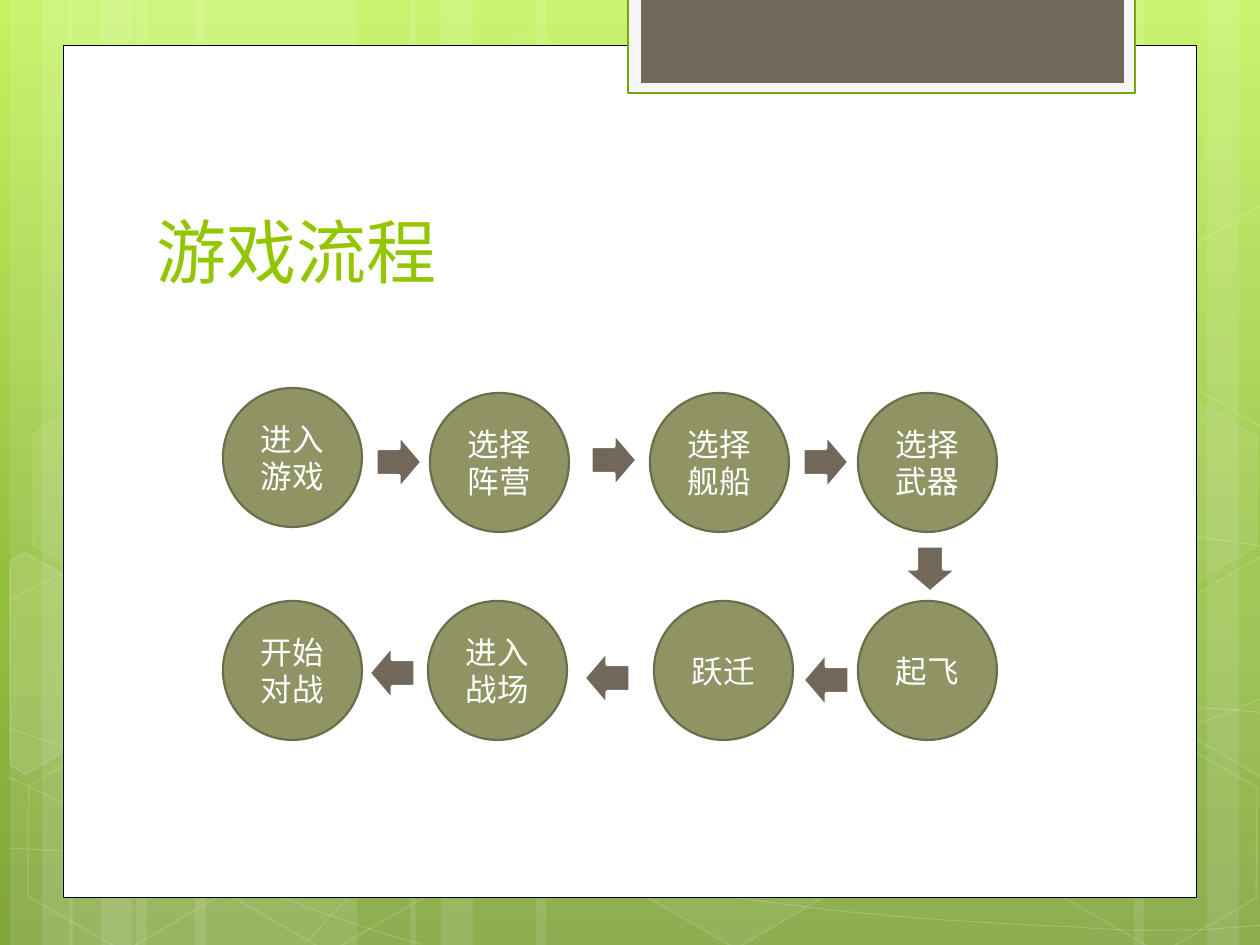
from copy import deepcopy
from math import cos, radians, sin

from pptx import Presentation
from pptx.dml.color import RGBColor
from pptx.enum.shapes import MSO_SHAPE as SHAPE
from pptx.enum.text import MSO_ANCHOR as ANCHOR, PP_ALIGN as ALIGN
from pptx.oxml.ns import qn
from pptx.util import Emu, Pt
from lxml.etree import SubElement

PX = 914400 / 126
W, H = 1260, 945
FONT = "Quicksand"

WHITE = RGBColor(0xFF, 0xFF, 0xFF)
BLACK = RGBColor(0x00, 0x00, 0x00)
PALE = RGBColor(0xF5, 0xF5, 0xF5)
GREEN = RGBColor(0x74, 0xA5, 0x10)
LIME = RGBColor(0x94, 0xC6, 0x00)
BROWN = RGBColor(0x71, 0x68, 0x5A)
OLIVE = RGBColor(0x90, 0x94, 0x65)
OLIVE_DARK = RGBColor(0x6B, 0x6D, 0x4B)
SKY = [(0, RGBColor(0xC3, 0xF3, 0x5F)), (0.62, RGBColor(0x93, 0xBF, 0x3F)),
       (1, RGBColor(0x81, 0xA5, 0x3E))]

# Content: game steps as (left, top, text), arrows as (left, top, rotation)
TITLE = "游戏流程"
DIAMETER = 139
STEPS = [
    (223, 388, "进入游戏"), (430, 393, "选择阵营"), (650, 393, "选择舰船"), (858, 393, "选择武器"),
    (858, 601, "起飞"), (654, 601, "跃迁"), (428, 601, "进入战场"), (223, 601, "开始对战"),
]
ARROW_W, ARROW_H = 46, 54
ARROWS = [
    (376, 435, 0), (907, 542, 90), (803, 435, 0), (591, 433, 0),
    (584, 651, 180), (803, 653, 180), (369, 646, 180),
]

# Backdrop: stripes as (left, width)
STRIPES = [
    (136, 221), (10, 63), (42, 105), (195, 221), (69, 63), (101, 105),
    (924, 220), (1207, 63), (1134, 105), (536, 388), (410, 63), (441, 105),
]
# Each curve is a start point, then cubic segments of three points
CURVES = [
    [(9, 848), (77, 852), (145, 856), (239, 854), (334, 853), (451, 851), (577, 838),
     (703, 825), (882, 801), (998, 777), (1113, 753), (1231, 716), (1269, 694)],
    [(9, 601), (45, 582), (82, 562), (152, 543), (224, 524), (326, 496), (437, 488),
     (549, 479), (685, 478), (824, 488), (963, 498), (1193, 537), (1269, 547)],
    [(8, 777), (160, 847), (311, 916), (421, 944)],
    [(9, 728), (48, 742), (88, 756), (161, 776), (234, 795), (344, 827), (450, 848),
     (554, 869), (687, 892), (791, 905), (896, 919), (1008, 924), (1075, 927),
     (1140, 932), (1158, 930), (1191, 930), (1223, 929), (1246, 926), (1269, 925)],
    [(305, 944), (328, 919), (350, 893), (381, 871), (411, 848), (454, 823), (489, 805),
     (524, 787), (546, 780), (592, 767), (638, 755), (722, 737), (766, 728),
     (811, 719), (818, 719), (857, 717), (896, 713), (958, 709), (1000, 708),
     (1045, 707), (1116, 708), (1116, 708), (1116, 708), (1201, 708), (1201, 708),
     (1223, 709), (1245, 711), (1256, 712), (1268, 713), (1264, 712), (1268, 713)],
]
# Hexagons as (left, top, fill opacity, line opacity); 0 means no fill
TILT = 30
HEX_W, HEX_H = 220, 192
HEXAGONS = [
    (421, 45, 4, 8), (626, 742, 6, 12), (14, 745, 0, 12), (18, 393, 7, 8), (219, 746, 0, 12),
    (949, 571, 10, 12), (1051, 747, 0, 12), (1051, 396, 7, 8),
]
# Hexagons cut by the slide edge as (pivot, points, fill opacity)
CUT_HEXAGONS = [
    ((45, 674), [(10, 561), (24, 552), (121, 607), (120, 718), (25, 774), (10, 765)], 10),
    ((1241, 655),
     [(1167, 611), (1261, 556), (1271, 562), (1271, 772), (1263, 777), (1167, 722)], 4),
    ((1241, 304),
     [(1167, 261), (1261, 205), (1273, 212), (1271, 422), (1263, 427), (1167, 372)], 0),
]


def px(v):
    return Emu(round(v * PX))


def set_opacity(fill_parent, percent):
    for clr in fill_parent.iter(qn("a:srgbClr")):
        SubElement(clr, qn("a:alpha")).set("val", str(percent * 1000))


def paint(sp, fill=None, line=None, width=1, fill_alpha=100, line_alpha=100):
    sp.shadow.inherit = False
    if fill is None:
        sp.fill.background()
    else:
        sp.fill.solid()
        sp.fill.fore_color.rgb = fill
        if fill_alpha < 100:
            set_opacity(sp._element.spPr.find(qn("a:solidFill")), fill_alpha)
    if line is None:
        sp.line.fill.background()
    else:
        sp.line.color.rgb = line
        sp.line.width = Pt(width)
        if line_alpha < 100:
            set_opacity(sp._element.spPr.find(qn("a:ln")), line_alpha)


def add_shape(s, kind, x, y, w, h, rotation=0, **look):
    sp = s.shapes.add_shape(kind, px(x), px(y), px(w), px(h))
    sp.rotation = rotation
    paint(sp, **look)
    return sp


def add_outline(s, points, close, **look):
    fb = s.shapes.build_freeform(*points[0], scale=PX)
    fb.add_line_segments(points[1:], close=close)
    sp = fb.convert_to_shape()
    paint(sp, **look)
    return sp


def bend(sp):
    """Turn every three line segments into one cubic segment."""
    outline = sp._element.find(".//" + qn("a:path"))
    lines = outline.findall(qn("a:lnTo"))
    for i in range(0, len(lines), 3):
        cubic = SubElement(outline, qn("a:cubicBezTo"))
        for line in lines[i:i + 3]:
            cubic.append(line[0])
            outline.remove(line)


def turn_back(point, pivot):
    a = radians(TILT)
    dx, dy = point[0] - pivot[0], point[1] - pivot[1]
    return pivot[0] + dx * cos(a) + dy * sin(a), pivot[1] - dx * sin(a) + dy * cos(a)


def write(sp, text, size, color, anchor, align):
    tf = sp.text_frame
    tf.word_wrap = True
    tf.vertical_anchor = anchor
    p = tf.paragraphs[0]
    p.alignment = align
    r = p.add_run()
    r.text = text
    r.font.name, r.font.size = FONT, Pt(size)
    r.font.color.rgb = color


def add_backdrop(s):
    # Vertical gradient with three stops
    fill = s.background.fill
    fill.gradient()
    fill.gradient_angle = 270
    stops = s._element.find(".//" + qn("a:gsLst"))
    stops.append(deepcopy(stops[-1]))
    for stop, (position, color) in zip(fill.gradient_stops, SKY):
        stop.position = position
        stop.color.rgb = color

    for x, w in STRIPES:
        add_shape(s, SHAPE.RECTANGLE, x, 0, w, H, fill=WHITE, fill_alpha=10)
    for curve in CURVES:
        bend(add_outline(s, curve, False, line=WHITE, width=0.5, line_alpha=20))
    for x, y, inside, edge in HEXAGONS:
        sp = add_shape(s, SHAPE.HEXAGON, x, y, HEX_W, HEX_H, TILT, fill=WHITE if inside else None,
                       fill_alpha=inside, line=WHITE, line_alpha=edge)
        sp.adjustments[0] = 0.285
    for pivot, points, inside in CUT_HEXAGONS:
        sp = add_outline(s, [turn_back(q, pivot) for q in points], True, line=WHITE,
                         fill=WHITE if inside else None, fill_alpha=inside, line_alpha=12)
        sp.rotation = TILT


def main():
    prs = Presentation()
    prs.slide_width, prs.slide_height = px(W), px(H)
    s = prs.slides.add_slide(prs.slide_layouts[6])
    add_backdrop(s)

    # White page and the tab at its top
    add_shape(s, SHAPE.RECTANGLE, 63, 45, 1134, 853, fill=WHITE, line=BLACK, width=0.5)
    add_shape(s, SHAPE.RECTANGLE, 628, -3, 507, 96, fill=PALE, line=GREEN, width=1.25)
    add_shape(s, SHAPE.RECTANGLE, 641, -3, 483, 86, fill=BROWN)

    # Title
    box = s.shapes.add_textbox(px(144), px(141), px(968), px(158))
    write(box, TITLE, 40, LIME, ANCHOR.BOTTOM, ALIGN.LEFT)

    # Flow
    for x, y, text in STEPS:
        sp = add_shape(s, SHAPE.OVAL, x, y, DIAMETER, DIAMETER,
                       fill=OLIVE, line=OLIVE_DARK, width=1.25)
        write(sp, text, 18, WHITE, ANCHOR.MIDDLE, ALIGN.CENTER)
    for x, y, rotation in ARROWS:
        add_shape(s, SHAPE.RIGHT_ARROW, x, y, ARROW_W, ARROW_H, rotation,
                  fill=BROWN, line=WHITE, width=1.75)

    prs.save("out.pptx")


if __name__ == "__main__":
    main()
